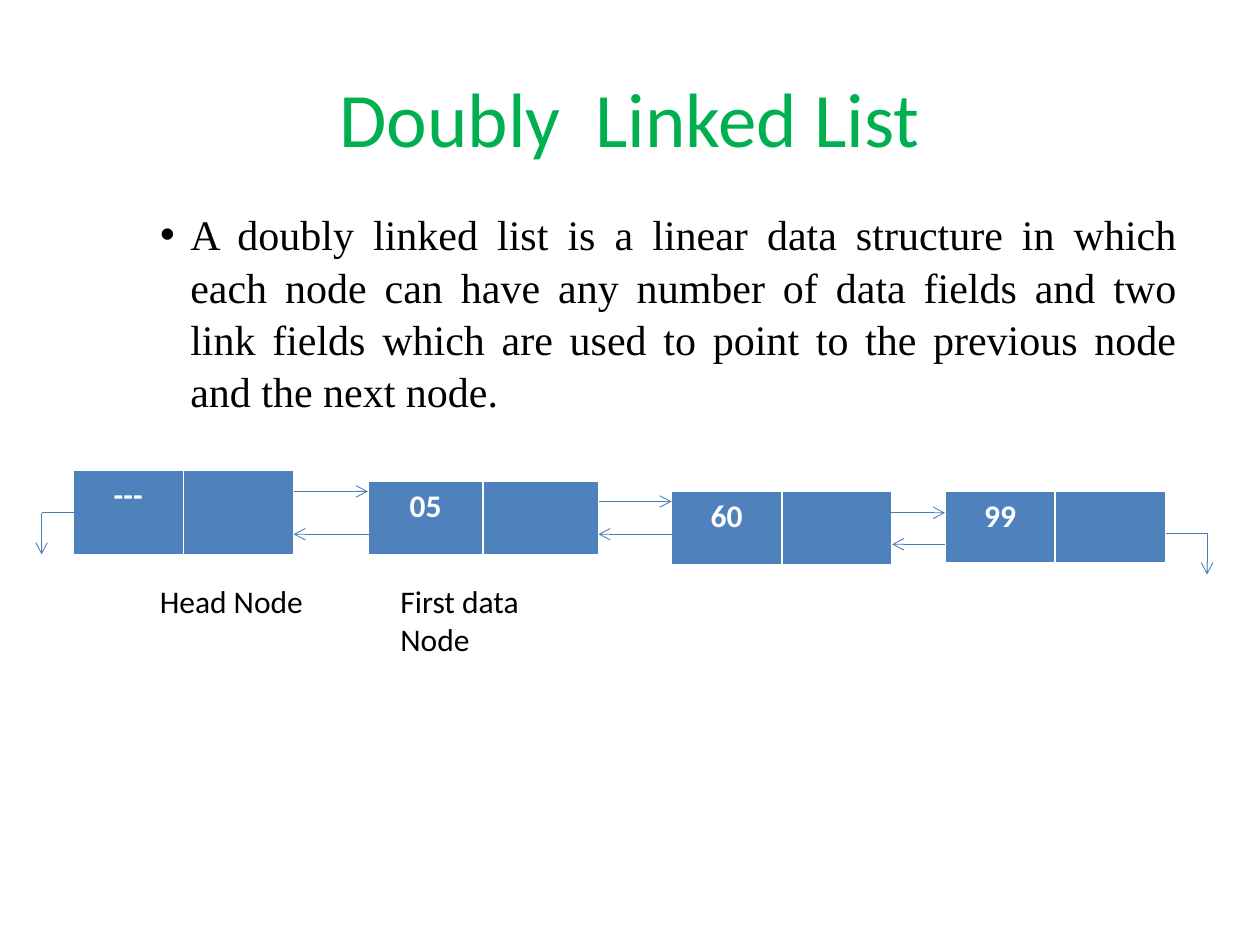
import pptx
import pptx.util
import pptx.dml.color
import pptx.enum.text
import pptx.oxml
import pptx.oxml.ns
import pptx.enum.shapes
from lxml import etree

Inches = pptx.util.Inches
Pt = pptx.util.Pt
RGBColor = pptx.dml.color.RGBColor
ALIGN = pptx.enum.text.PP_ALIGN
ANCHOR = pptx.enum.text.MSO_ANCHOR
qn = pptx.oxml.ns.qn

GREEN = RGBColor(0x00, 0xB0, 0x50)
BLUE = RGBColor(0x4F, 0x81, 0xBD)
LINK_BLUE = RGBColor(0x4A, 0x7E, 0xBB)
WHITE = RGBColor(0xFF, 0xFF, 0xFF)
BLACK = RGBColor(0x00, 0x00, 0x00)

HEADING = "Doubly  Linked List"
DEFINITION = (
    "A doubly linked list is a linear data structure in which each node can have "
    "any number of data fields and two link fields which are used to point to the "
    "previous node and the next node."
)
NODES = [
    ("---", 0.58, 3.73, 1.75, 0.67),
    ("05", 2.92, 3.82, 1.83, 0.58),
    ("60", 5.33, 3.9, 1.75, 0.58),
    ("99", 7.5, 3.9, 1.75, 0.57),
]
NODE_LABELS = [("Head Node", 1.17, 0.4), ("First data  Node", 3.08, 0.7)]
LABEL_TOP, LABEL_WIDTH = 4.57, 1.5
NEXT_LINKS = [(2.33, 2.92, 3.9), (4.75, 5.33, 3.98), (7, 7.5, 4.07)]
PREVIOUS_LINKS = [(3, 2.33, 4.24), (5.33, 4.75, 4.24), (7.5, 7.08, 4.32)]
END_LINKS = [(0.67, 0.33, 4.07), (9.25, 9.58, 4.23)]
DROP = 0.33


def write(frame, text, size=18, color=BLACK, font="Calibri", bold=False,
          align=ALIGN.LEFT, anchor=ANCHOR.TOP, bullet=None, indent=0, spacing=None):
    frame.word_wrap = True
    frame.vertical_anchor = anchor
    paragraph = frame.paragraphs[0]
    paragraph.text = text
    paragraph.alignment = align
    paragraph.space_before = Pt(0)
    if spacing:
        paragraph.line_spacing = spacing
    if bullet:
        properties = paragraph._p.get_or_add_pPr()
        properties.set("marL", str(Inches(indent)))
        properties.set("indent", str(-Inches(indent)))
        etree.SubElement(properties, qn("a:buFont"), typeface="Arial")
        etree.SubElement(properties, qn("a:buChar"), char=bullet)
    for styled in [paragraph] + list(paragraph.runs):
        styled.font.name = font
        styled.font.size = Pt(size)
        styled.font.bold = bold
        styled.font.color.rgb = color


def place(shape, left, top, width, height):
    shape.left, shape.top = Inches(left), Inches(top)
    shape.width, shape.height = Inches(width), Inches(height)


def add_node(shapes, value, left, top, width, height):
    node = shapes.add_table(1, 2, *map(Inches, (left, top, width, height))).table
    for cell, text in zip(node.rows[0].cells, (value, "")):
        cell.fill.solid()
        cell.fill.fore_color.rgb = BLUE
        write(cell.text_frame, text, color=WHITE, bold=True, align=ALIGN.CENTER)


def add_link(shapes, x1, y1, x2, y2, arrow=True):
    link = shapes.add_connector(
        pptx.enum.shapes.MSO_CONNECTOR.STRAIGHT, *map(Inches, (x1, y1, x2, y2)))
    link.line.color.rgb = LINK_BLUE
    link.line.width = Pt(0.5)
    if arrow:
        etree.SubElement(link.line._get_or_add_ln(), qn("a:tailEnd"), type="arrow")
    etree.SubElement(link._element.spPr, qn("a:effectLst"))


def main():
    deck = pptx.Presentation()
    deck.slide_width, deck.slide_height = Inches(10), Inches(7.5)
    slide = deck.slides.add_slide(deck.slide_layouts[1])
    shapes = slide.shapes

    heading, definition = slide.placeholders
    place(heading, 0.5, 0.3, 9, 1.25)
    write(heading.text_frame, HEADING, size=44, color=GREEN,
          align=ALIGN.CENTER, anchor=ANCHOR.MIDDLE)
    place(definition, 1.17, 1.59, 8.27, 1.7)
    write(definition.text_frame, DEFINITION, size=24, font="Times New Roman",
          align=ALIGN.JUSTIFY, bullet="•", indent=0.24, spacing=1.04)

    for node in NODES:
        add_node(shapes, *node)
    for label, left, height in NODE_LABELS:
        box = shapes.add_textbox(*map(Inches, (left, LABEL_TOP, LABEL_WIDTH, height)))
        write(box.text_frame, label)

    for start, end, y in NEXT_LINKS + PREVIOUS_LINKS:
        add_link(shapes, start, y, end, y)
    for start, corner, y in END_LINKS:
        add_link(shapes, start, y, corner, y, arrow=False)
        add_link(shapes, corner, y, corner, y + DROP)

    deck.save("out.pptx")


if __name__ == "__main__":
    main()
